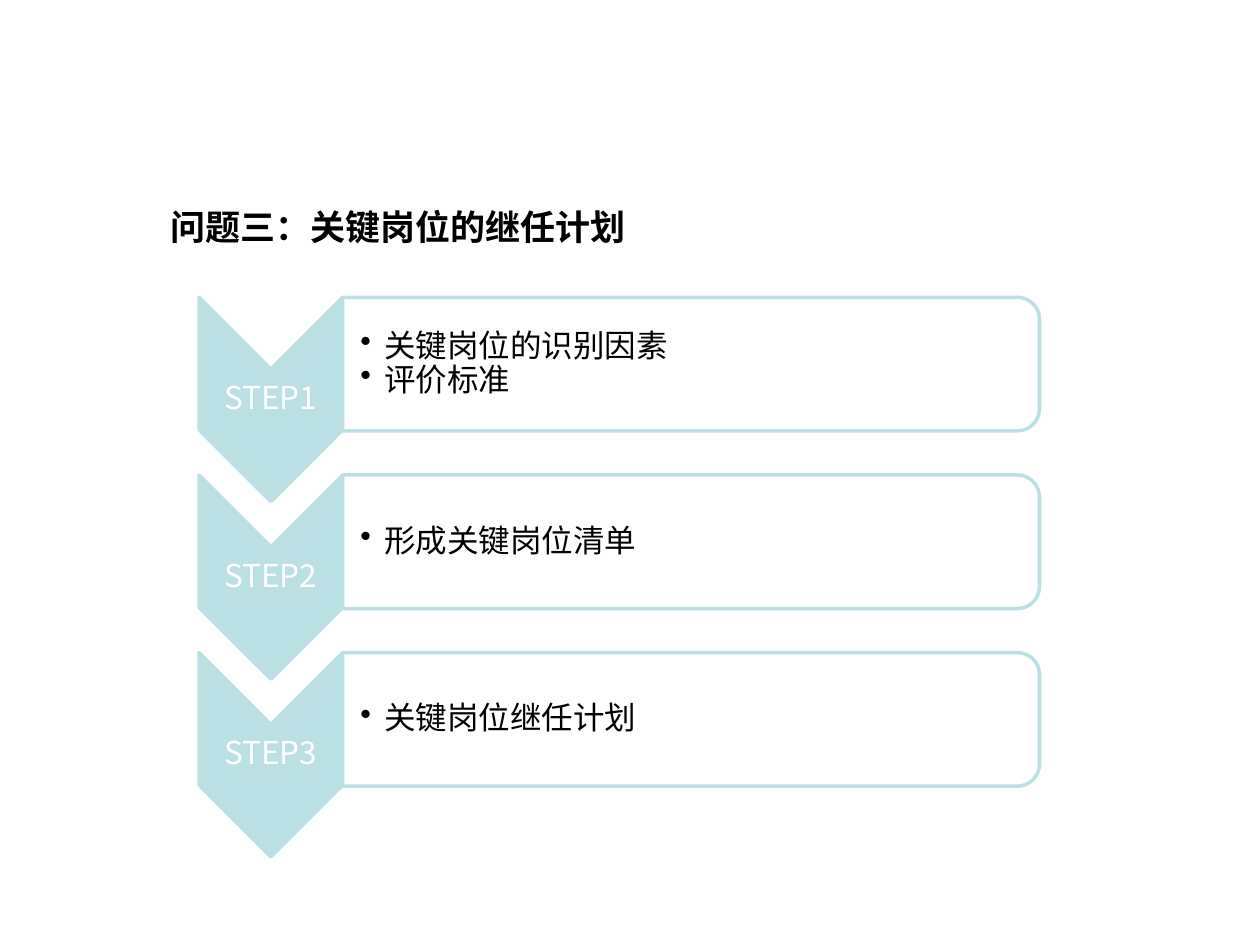
from dataclasses import dataclass

from lxml.etree import SubElement
from pptx import Presentation
from pptx.dml.color import RGBColor
from pptx.enum.shapes import MSO_SHAPE
from pptx.enum.text import MSO_ANCHOR, PP_ALIGN
from pptx.oxml.ns import qn
from pptx.util import Inches, Pt

TITLE = "问题三：关键岗位的继任计划"
STEPS = [
    ("STEP1", ["关键岗位的识别因素", "评价标准"]),
    ("STEP2", ["形成关键岗位清单"]),
    ("STEP3", ["关键岗位继任计划"]),
]


@dataclass(frozen=True)
class Theme:
    font: str = "Noto Sans CJK SC"
    ink: RGBColor = RGBColor(0, 0, 0)
    white: RGBColor = RGBColor(255, 255, 255)
    accent: RGBColor = RGBColor(0xBB, 0xE0, 0xE3)
    title_size: int = 20
    body_size: int = 18
    line_width: int = 2
    panel_opacity: int = 90


THEME = Theme()
WIDTH, HEIGHT = 10, 7.5
TOP, PITCH = 2.36, 1.41
ARROW_LEFT, ARROW_WIDTH, ARROW_HEIGHT = 1.58, 1.14, 1.62
PANEL_LEFT = ARROW_LEFT + ARROW_WIDTH
PANEL_WIDTH, PANEL_HEIGHT = 5.53, 1.06
LABEL_HEIGHT, BULLETS_WIDTH, BULLETS_HEIGHT = 0.49, 5.48, 0.95
INSET, BULLETS_INSET, HANGING = 0.01, 0.14, 0.19


def style_runs(paragraph, size, color, bold=False):
    for run in paragraph.runs:
        run.font.size, run.font.bold = Pt(size), bold
        run.font.name, run.font.color.rgb = THEME.font, color
        SubElement(run.font._element, qn("a:ea"), typeface=THEME.font)


def add_turned_shape(slide, preset, left, top, width, height, fill):
    """Add a preset turned a quarter clockwise that covers the given visible box."""
    shift = (width - height) / 2
    shape = slide.shapes.add_shape(
        preset, Inches(left + shift), Inches(top - shift), Inches(height), Inches(width))
    shape.rotation = 90
    shape.shadow.inherit = False
    shape.fill.solid()
    shape.fill.fore_color.rgb = fill
    shape.line.color.rgb = THEME.accent
    shape.line.width = Pt(THEME.line_width)
    return shape


def add_middle_text(slide, left, top, width, height, text, color, inset=INSET):
    box = slide.shapes.add_textbox(Inches(left), Inches(top), Inches(width), Inches(height))
    frame = box.text_frame
    frame.word_wrap, frame.vertical_anchor = True, MSO_ANCHOR.MIDDLE
    frame.margin_left = Inches(inset)
    frame.margin_top = frame.margin_right = frame.margin_bottom = Inches(INSET)
    frame.text = text
    for paragraph in frame.paragraphs:
        paragraph.line_spacing = 0.9
        style_runs(paragraph, THEME.body_size, color)
    return frame.paragraphs


def add_bullet(paragraph):
    paragraph.level = 1
    properties = paragraph._p.get_or_add_pPr()
    properties.set("marL", str(Inches(HANGING)))
    properties.set("indent", str(-Inches(HANGING)))
    SubElement(properties, qn("a:buChar"), char="•")


def add_step(slide, top, label, points):
    add_turned_shape(slide, MSO_SHAPE.CHEVRON, ARROW_LEFT, top,
                     ARROW_WIDTH, ARROW_HEIGHT, THEME.accent)
    label_top = top + (ARROW_HEIGHT - LABEL_HEIGHT) / 2
    for paragraph in add_middle_text(slide, ARROW_LEFT, label_top, ARROW_WIDTH,
                                     LABEL_HEIGHT, label, THEME.white):
        paragraph.alignment = PP_ALIGN.CENTER

    panel = add_turned_shape(slide, MSO_SHAPE.ROUND_2_SAME_RECTANGLE, PANEL_LEFT, top,
                             PANEL_WIDTH, PANEL_HEIGHT, THEME.white)
    fill_color = panel._element.spPr.find(qn("a:solidFill"))[0]
    SubElement(fill_color, qn("a:alpha"), val=str(THEME.panel_opacity * 1000))
    bullets_top = top + (PANEL_HEIGHT - BULLETS_HEIGHT) / 2
    for paragraph in add_middle_text(slide, PANEL_LEFT, bullets_top, BULLETS_WIDTH,
                                     BULLETS_HEIGHT, "\n".join(points), THEME.ink,
                                     BULLETS_INSET):
        add_bullet(paragraph)


def set_title(slide):
    title = slide.shapes.title
    title.left, title.top = Inches(1.25), Inches(1.58)
    title.width, title.height = Inches(6.42), Inches(0.77)
    frame = title.text_frame
    frame.text = TITLE
    frame.vertical_anchor = MSO_ANCHOR.TOP
    frame.paragraphs[0].alignment = PP_ALIGN.LEFT
    style_runs(frame.paragraphs[0], THEME.title_size, THEME.ink, bold=True)


def main():
    presentation = Presentation()
    presentation.slide_width, presentation.slide_height = Inches(WIDTH), Inches(HEIGHT)
    slide = presentation.slides.add_slide(presentation.slide_layouts[5])
    set_title(slide)
    for row, (label, points) in enumerate(STEPS):
        add_step(slide, TOP + row * PITCH, label, points)
    presentation.save("out.pptx")


if __name__ == "__main__":
    main()
